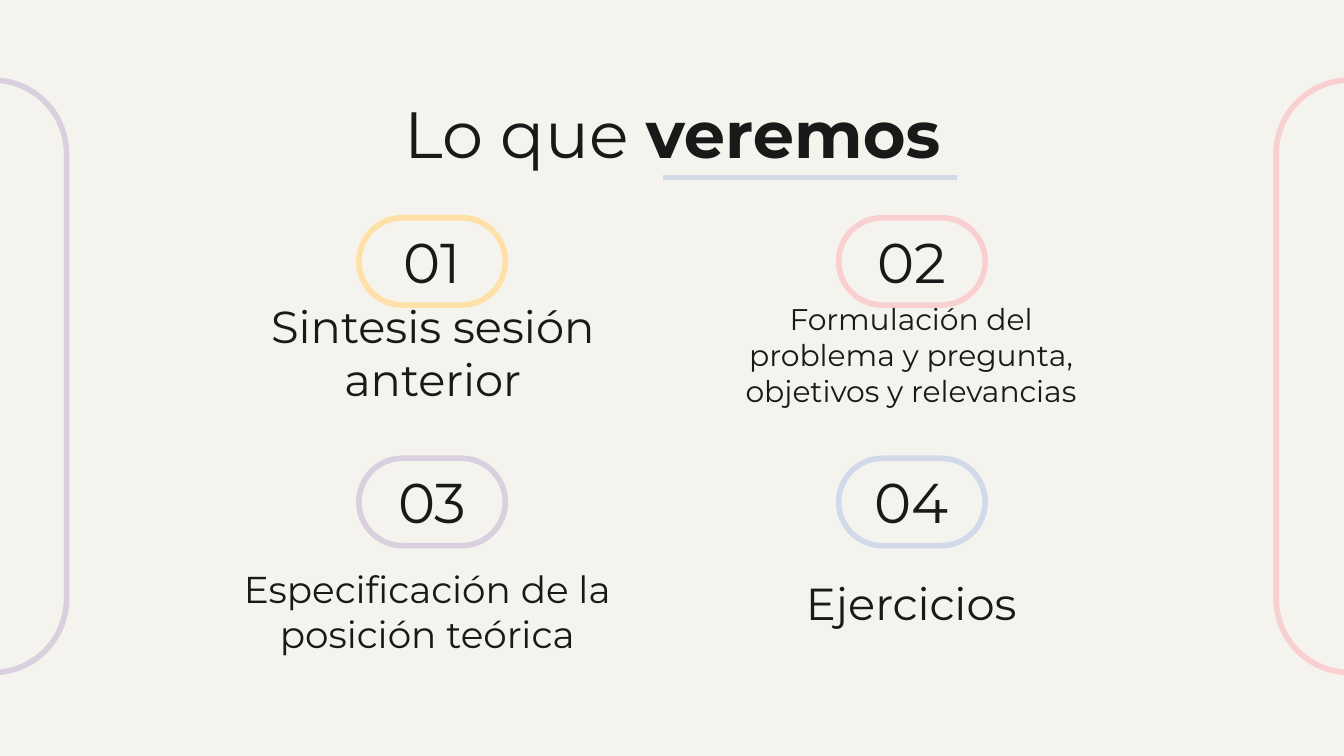
from dataclasses import dataclass

from lxml import etree
from pptx import Presentation
from pptx import util as u
from pptx.dml.color import RGBColor
from pptx.enum import shapes, text
from pptx.oxml import ns

CREAM = RGBColor(0xF5, 0xF3, 0xED)
INK = RGBColor(0x19, 0x19, 0x19)
LILAC = RGBColor(0xD9, 0xCF, 0xDE)
PINK = RGBColor(0xF9, 0xCF, 0xD0)
YELLOW = RGBColor(0xFF, 0xE0, 0xA7)
BLUE = RGBColor(0xD2, 0xDA, 0xE9)
FONT = "Montserrat"
STROKE = u.Pt(3)
WIDTH = u.Inches(10)
COLS = (2.67, 6.24)
ROWS = (1.62, 3.41)


@dataclass
class Box:
    left: float
    top: float
    width: float
    height: float

    def args(self) -> list[int]:
        return [u.Inches(v) for v in (self.left, self.top, self.width, self.height)]


@dataclass
class Topic:
    label: str
    size: int
    color: RGBColor
    left: float
    top: float


TOPICS = [
    Topic("Sintesis sesión anterior", 24, YELLOW, 1.67, 2.54),
    Topic("Formulación del problema y pregunta, objetivos y relevancias", 16, PINK, 5.23, 2.56),
    Topic("Especificación de la posición teórica", 20, LILAC, 1.63, 4.4),
    Topic("Ejercicios", 24, BLUE, 5.23, 4.2),
]


def add_pill(slide, box: Box, color: RGBColor, turn: int = 0) -> None:
    pill = slide.shapes.add_shape(shapes.MSO_SHAPE.ROUNDED_RECTANGLE, *box.args())
    pill.adjustments[0] = 0.5
    pill.rotation = turn
    pill.shadow.inherit = False
    pill.fill.background()
    pill.line.color.rgb = color
    pill.line.width = STROKE


def add_text(slide, box: Box, words: str, size: int,
             anchor=text.MSO_ANCHOR.TOP, strong: str = "") -> None:
    frame = slide.shapes.add_textbox(*box.args()).text_frame
    frame.word_wrap = True
    frame.vertical_anchor = anchor
    frame.margin_left = frame.margin_right = u.Inches(0.1)
    frame.margin_top = frame.margin_bottom = u.Inches(0.1)
    para = frame.paragraphs[0]
    para.alignment = text.PP_ALIGN.CENTER
    para.font.name = FONT
    para.font.size = u.Pt(size)
    para.font.color.rgb = INK
    para.add_run().text = words
    if strong:
        run = para.add_run()
        run.text = strong
        run.font.bold = True


def add_rule(slide, left: float, right: float, top: float, color: RGBColor) -> None:
    rule = slide.shapes.add_connector(
        shapes.MSO_CONNECTOR.STRAIGHT,
        u.Inches(left), u.Inches(top), u.Inches(right), u.Inches(top))
    rule.line.color.rgb = color
    rule.line.width = STROKE
    etree.SubElement(rule._element.spPr, ns.qn("a:effectLst"))


def main() -> None:
    deck = Presentation()
    deck.slide_width = WIDTH
    deck.slide_height = WIDTH * 9 // 16
    slide = deck.slides.add_slide(deck.slide_layouts[6])
    slide.background.fill.solid()
    slide.background.fill.fore_color.rgb = CREAM

    for left, color in ((-2.26, LILAC), (7.84, PINK)):
        add_pill(slide, Box(left, 2.25, 4.41, 1.1), color, 90)

    add_text(slide, Box(0.79, 0.59, 8.43, 0.63), "Lo que ", 35, strong="veremos")
    add_rule(slide, 4.93, 7.12, 1.32, BLUE)

    for i, topic in enumerate(TOPICS):
        row, col = divmod(i, 2)
        left, top = COLS[col], ROWS[row]
        add_pill(slide, Box(left, top, 1.09, 0.65), topic.color)
        add_text(slide, Box(left + 0.16, top - 0.03, 0.77, 0.65), f"{i + 1:02}", 30)
        add_text(slide, Box(topic.left, topic.top, 3.1, 0.58), topic.label,
                 topic.size, text.MSO_ANCHOR.BOTTOM)

    deck.save("out.pptx")


if __name__ == "__main__":
    main()
